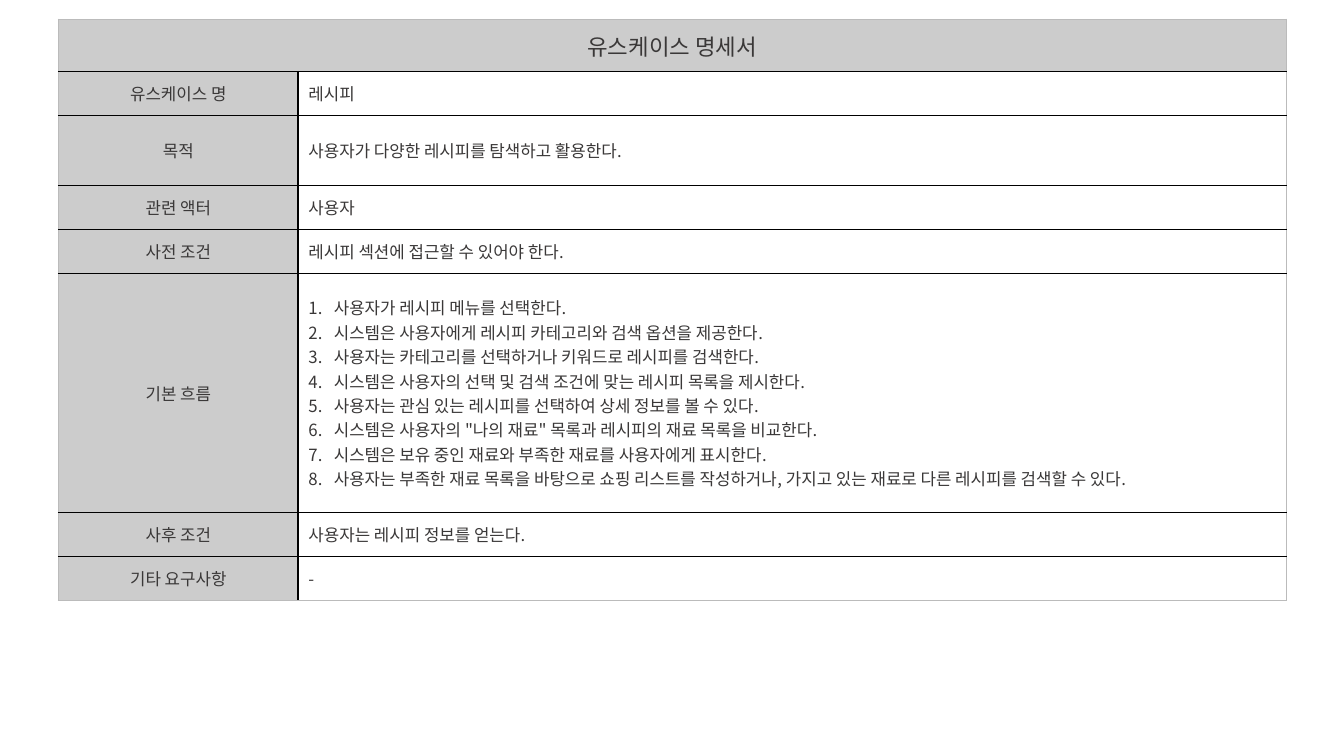
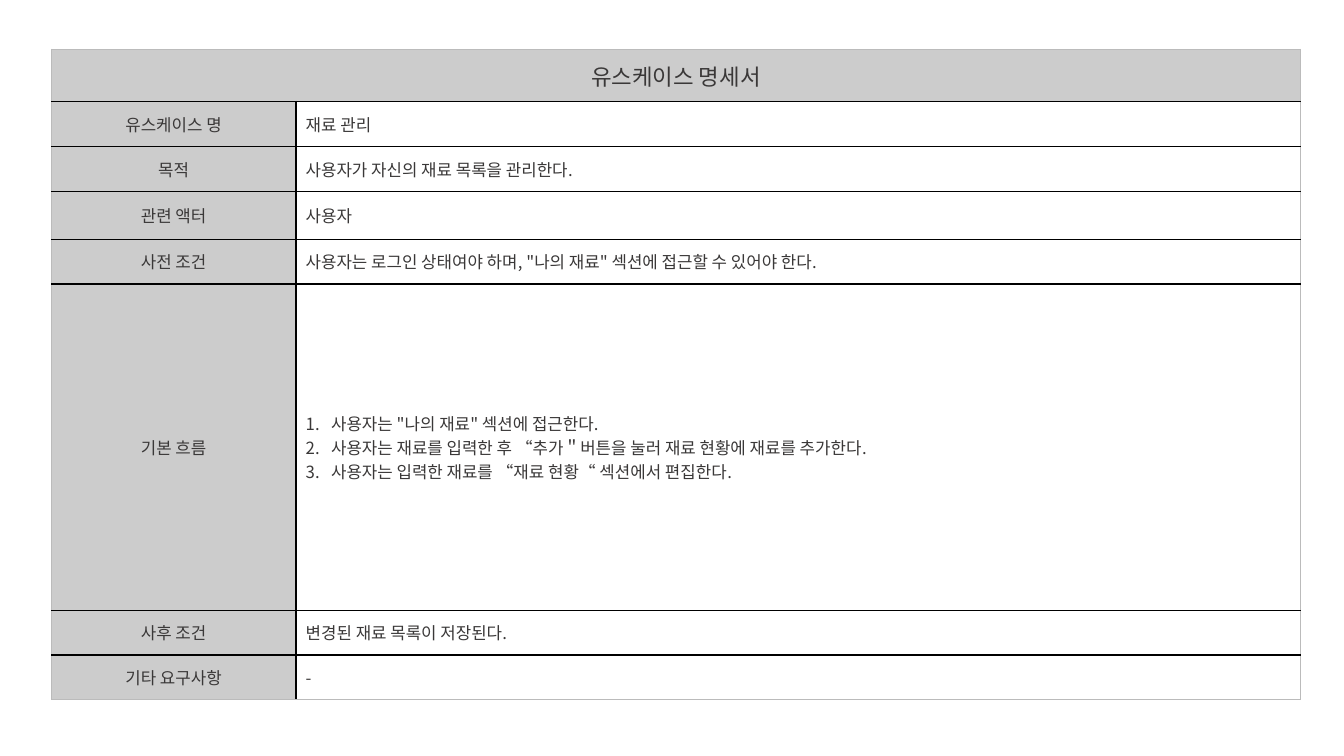
"""Build two use case specification slides, each holding one bordered table."""
from lxml import etree
from pptx import Presentation
from pptx.dml.color import RGBColor
from pptx.enum.text import MSO_ANCHOR, PP_ALIGN
from pptx.oxml.ns import qn
from pptx.util import Cm, Pt

CENTER, LEFT = PP_ALIGN.CENTER, PP_ALIGN.LEFT
MIDDLE = MSO_ANCHOR.MIDDLE
COLORS = {"text": "3A3838", "label": "CCCCCC", "inner": "000000", "outer": "BBBBBB"}
FONT = "Noto Sans CJK KR"
TITLE = "유스케이스 명세서"
LABELS = ["유스케이스 명", "목적", "관련 액터", "사전 조건", "기본 흐름", "사후 조건", "기타 요구사항"]
TITLE_SIZE, BODY_SIZE = Pt(16), Pt(12)
STEP_INDENT = Cm(0.64)
OUTER_LINE = (COLORS["outer"], Pt(0.75))
ROW_LINE = (COLORS["inner"], Pt(1))
COLUMN_LINE = (COLORS["inner"], Pt(1.5))
TABLE_FORMAT = {"first_row": False, "horz_banding": False}

SPECIFICATIONS = [
    {
        "position": (1.47, 0.48),
        "columns": (6.05, 24.89),
        "rows": (1.32, 1.11, 1.76, 1.11, 1.11, 6.02, 1.11, 1.11),
        "contents": [
            "레시피",
            "사용자가 다양한 레시피를 탐색하고 활용한다.",
            "사용자",
            "레시피 섹션에 접근할 수 있어야 한다.",
            [
                "사용자가 레시피 메뉴를 선택한다.",
                "시스템은 사용자에게 레시피 카테고리와 검색 옵션을 제공한다.",
                "사용자는 카테고리를 선택하거나 키워드로 레시피를 검색한다.",
                "시스템은 사용자의 선택 및 검색 조건에 맞는 레시피 목록을 제시한다.",
                "사용자는 관심 있는 레시피를 선택하여 상세 정보를 볼 수 있다.",
                '시스템은 사용자의 "나의 재료" 목록과 레시피의 재료 목록을 비교한다.',
                "시스템은 보유 중인 재료와 부족한 재료를 사용자에게 표시한다.",
                "사용자는 부족한 재료 목록을 바탕으로 쇼핑 리스트를 작성하거나, "
                "가지고 있는 재료로 다른 레시피를 검색할 수 있다.",
            ],
            "사용자는 레시피 정보를 얻는다.",
            "-",
        ],
    },
    {
        "position": (1.3, 1.24),
        "columns": (6.15, 25.32),
        "rows": (1.32, 1.13, 1.13, 1.21, 1.13, 8.22, 1.13, 1.13),
        "contents": [
            "재료 관리",
            "사용자가 자신의 재료 목록을 관리한다.",
            "사용자",
            '사용자는 로그인 상태여야 하며, "나의 재료" 섹션에 접근할 수 있어야 한다.',
            [
                '사용자는 "나의 재료" 섹션에 접근한다.',
                "사용자는 재료를 입력한 후 “추가＂버튼을 눌러 재료 현황에 재료를 추가한다.",
                "사용자는 입력한 재료를 “재료 현황“ 섹션에서 편집한다.",
            ],
            "변경된 재료 목록이 저장된다.",
            "-",
        ],
    },
]


def set_attributes(target, values):
    for name, value in values.items():
        setattr(target, name, value)


def add_color(parent, color):
    etree.SubElement(parent, qn("a:srgbClr"), val=color)


def set_borders(cell, borders):
    properties = cell._tc.get_or_add_tcPr()
    for side in ("L", "R", "T", "B"):
        color, width = borders[side]
        line = etree.SubElement(properties, qn(f"a:ln{side}"), w=str(width))
        add_color(etree.SubElement(line, qn("a:solidFill")), color)


def number_paragraph(paragraph):
    properties = paragraph._p.get_or_add_pPr()
    properties.set("marL", str(STEP_INDENT))
    properties.set("indent", str(-STEP_INDENT))
    add_color(etree.SubElement(properties, qn("a:buClr")), COLORS["text"])
    etree.SubElement(properties, qn("a:buFont"), typeface=FONT)
    etree.SubElement(properties, qn("a:buAutoNum"), type="arabicPeriod")


def write_paragraph(paragraph, text, size, alignment):
    paragraph.alignment = alignment
    run = paragraph.add_run()
    run.text = text
    set_attributes(run.font, {"name": FONT, "size": size, "bold": False})
    run.font.color.rgb = RGBColor.from_string(COLORS["text"])
    etree.SubElement(run._r.get_or_add_rPr(), qn("a:ea"), typeface=FONT)


def write_cell(cell, content, size=BODY_SIZE, alignment=LEFT):
    cell.vertical_anchor = MIDDLE
    numbered = isinstance(content, list)
    frame = cell.text_frame
    for index, text in enumerate(content if numbered else [content]):
        paragraph = frame.add_paragraph() if index else frame.paragraphs[0]
        write_paragraph(paragraph, text, size, alignment)
        if numbered:
            number_paragraph(paragraph)


def fill_cell(cell, color=None):
    if color:
        cell.fill.solid()
        cell.fill.fore_color.rgb = RGBColor.from_string(color)
    else:
        cell.fill.background()


def style_cells(table):
    last_row = len(table.rows) - 1
    for row_index, row in enumerate(table.rows):
        divider = COLUMN_LINE if row_index else OUTER_LINE
        for column_index, cell in enumerate(row.cells):
            set_borders(cell, {
                "L": divider if column_index else OUTER_LINE,
                "R": OUTER_LINE if column_index else divider,
                "T": ROW_LINE if row_index else OUTER_LINE,
                "B": ROW_LINE if row_index < last_row else OUTER_LINE,
            })
            is_label = row_index == 0 or column_index == 0
            fill_cell(cell, COLORS["label"] if is_label else None)


def add_specification(slide, specification):
    columns, rows = specification["columns"], specification["rows"]
    left, top = specification["position"]
    shape = slide.shapes.add_table(
        len(rows), len(columns), Cm(left), Cm(top), Cm(sum(columns)), Cm(sum(rows)))
    table = shape.table
    set_attributes(table, TABLE_FORMAT)
    for column, width in zip(table.columns, columns):
        column.width = Cm(width)
    for row, height in zip(table.rows, rows):
        row.height = Cm(height)
    style_cells(table)
    table.cell(0, 0).merge(table.cell(0, 1))
    write_cell(table.cell(0, 0), TITLE, TITLE_SIZE, CENTER)
    for index, (label, content) in enumerate(zip(LABELS, specification["contents"]), 1):
        write_cell(table.cell(index, 0), label, alignment=CENTER)
        write_cell(table.cell(index, 1), content)


def main():
    presentation = Presentation()
    set_attributes(presentation, {"slide_width": Cm(33.87), "slide_height": Cm(19.05)})
    blank_layout = presentation.slide_layouts[6]
    for specification in SPECIFICATIONS:
        add_specification(presentation.slides.add_slide(blank_layout), specification)
    presentation.save("out.pptx")


if __name__ == "__main__":
    main()
